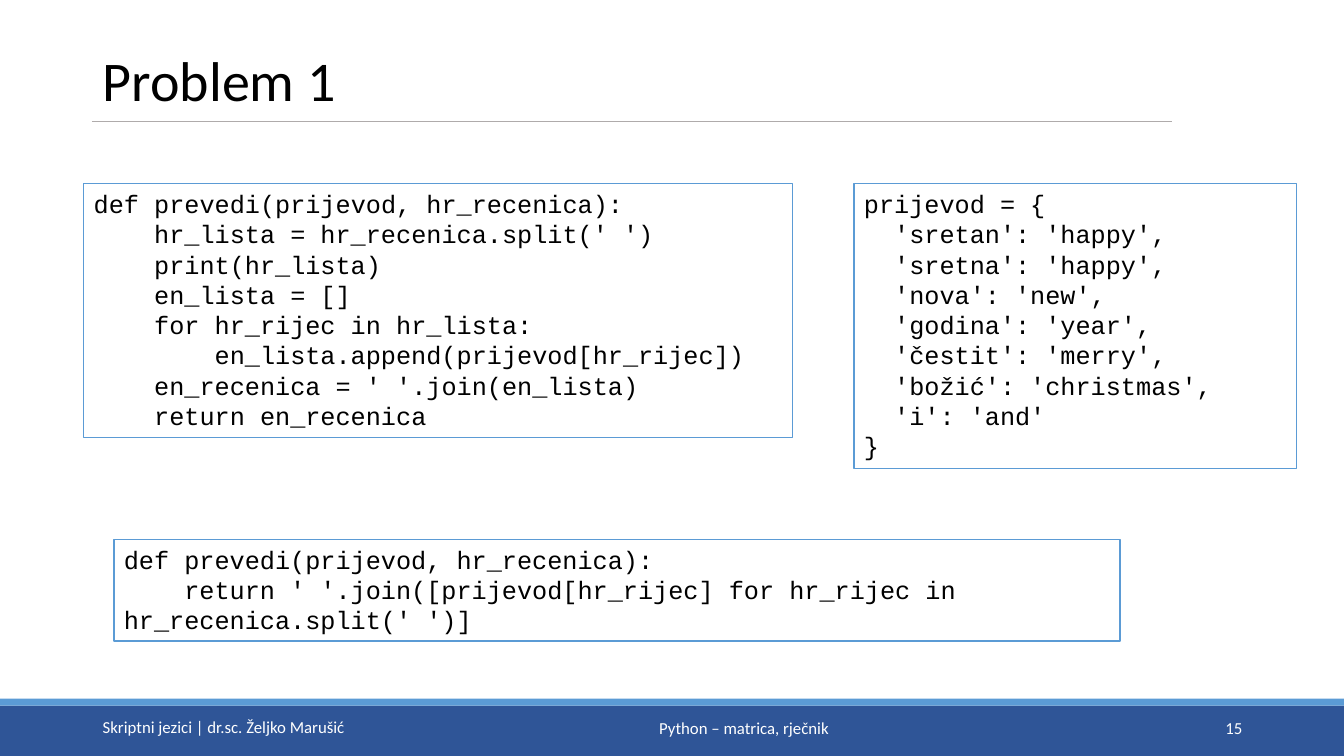
"""Build the "Problem 1" slide with three Python listings."""
import pptx
import pptx.dml.color
import pptx.enum.shapes
import pptx.enum.text
import pptx.oxml
import pptx.oxml.ns
import pptx.util

ALIGN = pptx.enum.text.PP_ALIGN
ANCHOR = pptx.enum.text.MSO_ANCHOR
WIDTH, HEIGHT = pptx.util.Inches(13.33), pptx.util.Inches(7.5)
COLORS = {"text": "000000", "white": "FFFFFF", "bar": "2F5597",
          "accent": "5B9BD5", "rule": "AFABAB"}
CODE_FONT, CODE_SIZE = "Courier New", 18
CODE_CHAR = 0.6 * CODE_SIZE
ROW_TOP = 24.27

DICTIONARY = """prijevod = {
  'sretan': 'happy',
  'sretna': 'happy',
  'nova': 'new',
  'godina': 'year',
  'čestit': 'merry',
  'božić': 'christmas',
  'i': 'and'
}"""
LOOP = """def prevedi(prijevod, hr_recenica):
    hr_lista = hr_recenica.split(' ')
    print(hr_lista)
    en_lista = []
    for hr_rijec in hr_lista:
        en_lista.append(prijevod[hr_rijec])
    en_recenica = ' '.join(en_lista)
    return en_recenica"""
COMPREHENSION = """def prevedi(prijevod, hr_recenica):
    return ' '.join([prijevod[hr_rijec] for hr_rijec in hr_recenica.split(' ')]"""


def rgb(name):
    """Return the named colour."""
    return pptx.dml.color.RGBColor.from_string(COLORS[name])


def place(x, y, w, h):
    """Turn percentages of the slide into lengths."""
    return [round(share * side / 100) for share, side in
            ((x, WIDTH), (y, HEIGHT), (w, WIDTH), (h, HEIGHT))]


def write(tf, text, font="Calibri", size=12, color="white", align=ALIGN.LEFT,
          anchor=ANCHOR.MIDDLE, spacing=None):
    """Write lines as paragraphs, turning leading spaces into indents."""
    tf.word_wrap = True
    tf.vertical_anchor = anchor
    for i, line in enumerate(text.split("\n")):
        p = tf.paragraphs[0] if i == 0 else tf.add_paragraph()
        p.alignment = align
        if spacing:
            p.line_spacing = spacing
        code = line.lstrip()
        depth = len(line) - len(code)
        if depth:
            p_pr = p._p.get_or_add_pPr()
            p_pr.set("marL", "0")
            p_pr.set("indent", str(pptx.util.Pt(depth * CODE_CHAR)))
        r = p.add_run()
        r.text = code
        r.font.name = font
        r.font.size = pptx.util.Pt(size)
        r.font.color.rgb = rgb(color)


def add_box(s, box, fill, line=None):
    """Add a flat rectangle."""
    sp = s.shapes.add_shape(pptx.enum.shapes.MSO_SHAPE.RECTANGLE, *place(*box))
    sp.shadow.inherit = False
    sp.fill.solid()
    sp.fill.fore_color.rgb = rgb(fill)
    if line:
        sp.line.color.rgb = rgb(line)
        sp.line.width = pptx.util.Pt(1)
    else:
        sp.line.fill.background()
    return sp


def add_code(s, code, box):
    """Add a framed code listing."""
    tf = add_box(s, box, "white", "accent").text_frame
    write(tf, code, font=CODE_FONT, size=CODE_SIZE, color="text",
          anchor=ANCHOR.TOP)
    tf.auto_size = pptx.enum.text.MSO_AUTO_SIZE.SHAPE_TO_FIT_TEXT


def add_label(s, text, box, align):
    """Add a footer label."""
    write(s.shapes.add_textbox(*place(*box)).text_frame, text, align=align)


def add_title(s, text):
    """Fill the title placeholder and rule it off."""
    sp = s.shapes.title
    sp.left, sp.top, sp.width, sp.height = place(6.9, 3.87, 75.47, 14.4)
    write(sp.text_frame, text, size=40, color="text", spacing=0.9)
    x1, y, x2, _ = place(6.83, 16, 87.17, 0)
    rule = s.shapes.add_connector(
        pptx.enum.shapes.MSO_CONNECTOR.STRAIGHT, x1, y, x2, y)
    rule.line.color.rgb = rgb("rule")
    rule.line.width = pptx.util.Pt(0.5)
    rule._element.spPr.append(
        pptx.oxml.parse_xml("<a:effectLst %s/>" % pptx.oxml.ns.nsdecls("a")))


def add_footer(s):
    """Add the footer bars and their labels."""
    add_box(s, (0, 93.33, 100, 6.67), "bar")
    add_box(s, (0, 92.4, 100, 0.93), "accent")
    add_label(s, "Python – matrica, rječnik", (40.66, 93.6, 29.41, 5.33),
              ALIGN.CENTER)
    add_label(s, "Skriptni jezici | dr.sc. Željko Marušić",
              (6.9, 93.47, 37.96, 5.33), ALIGN.LEFT)
    add_label(s, "15", (83.87, 93.6, 9.3, 5.33), ALIGN.RIGHT)


def main():
    """Build and save the slide."""
    prs = pptx.Presentation()
    prs.slide_width, prs.slide_height = WIDTH, HEIGHT
    s = prs.slides.add_slide(prs.slide_layouts.get_by_name("Title Only"))
    add_footer(s)
    add_title(s, "Problem 1")
    add_code(s, DICTIONARY, (63.54, ROW_TOP, 32.93, 37.73))
    add_code(s, LOOP, (6.23, ROW_TOP, 52.74, 33.6))
    add_code(s, COMPREHENSION, (8.48, 71.33, 74.87, 13.47))
    prs.save("out.pptx")


if __name__ == "__main__":
    main()
